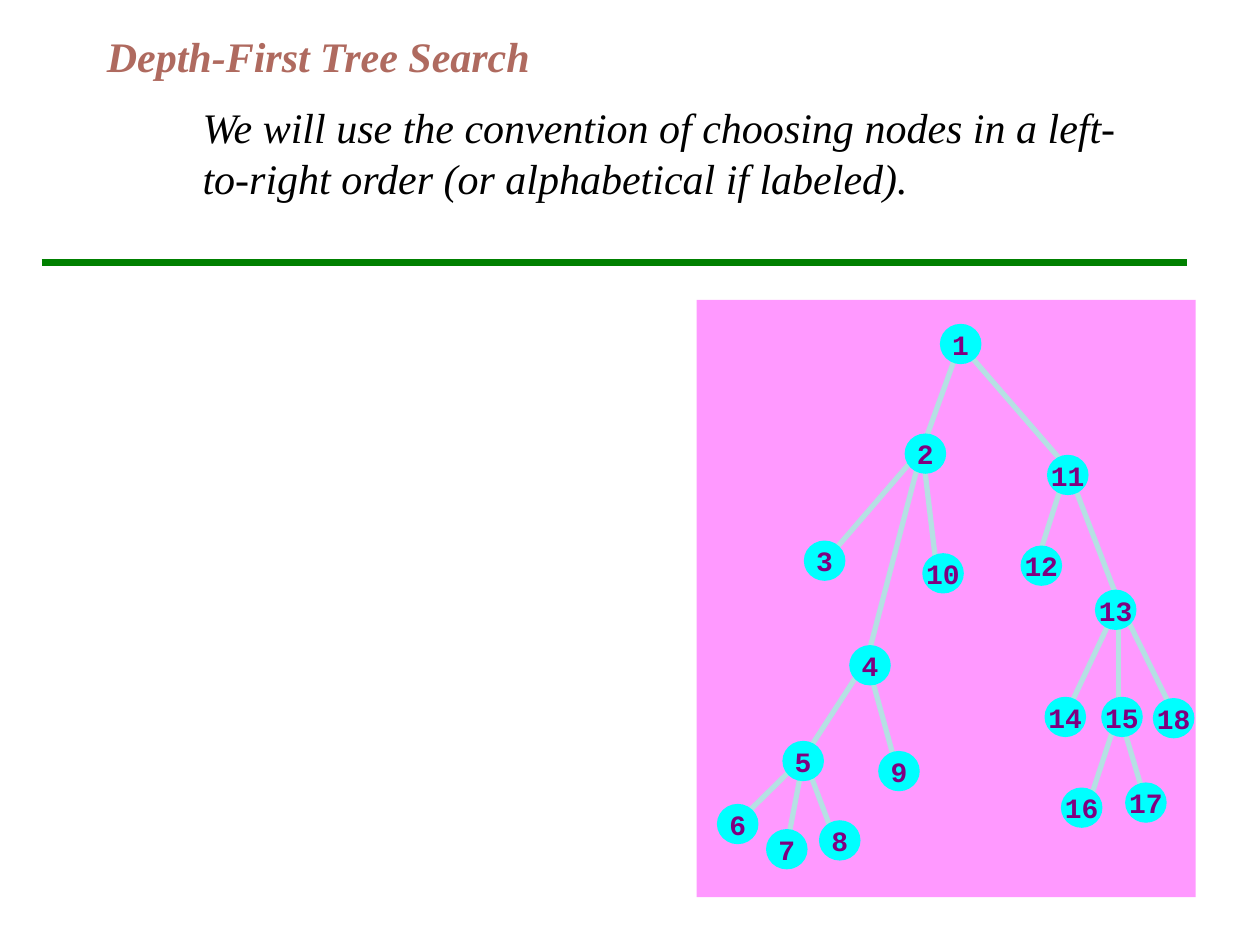
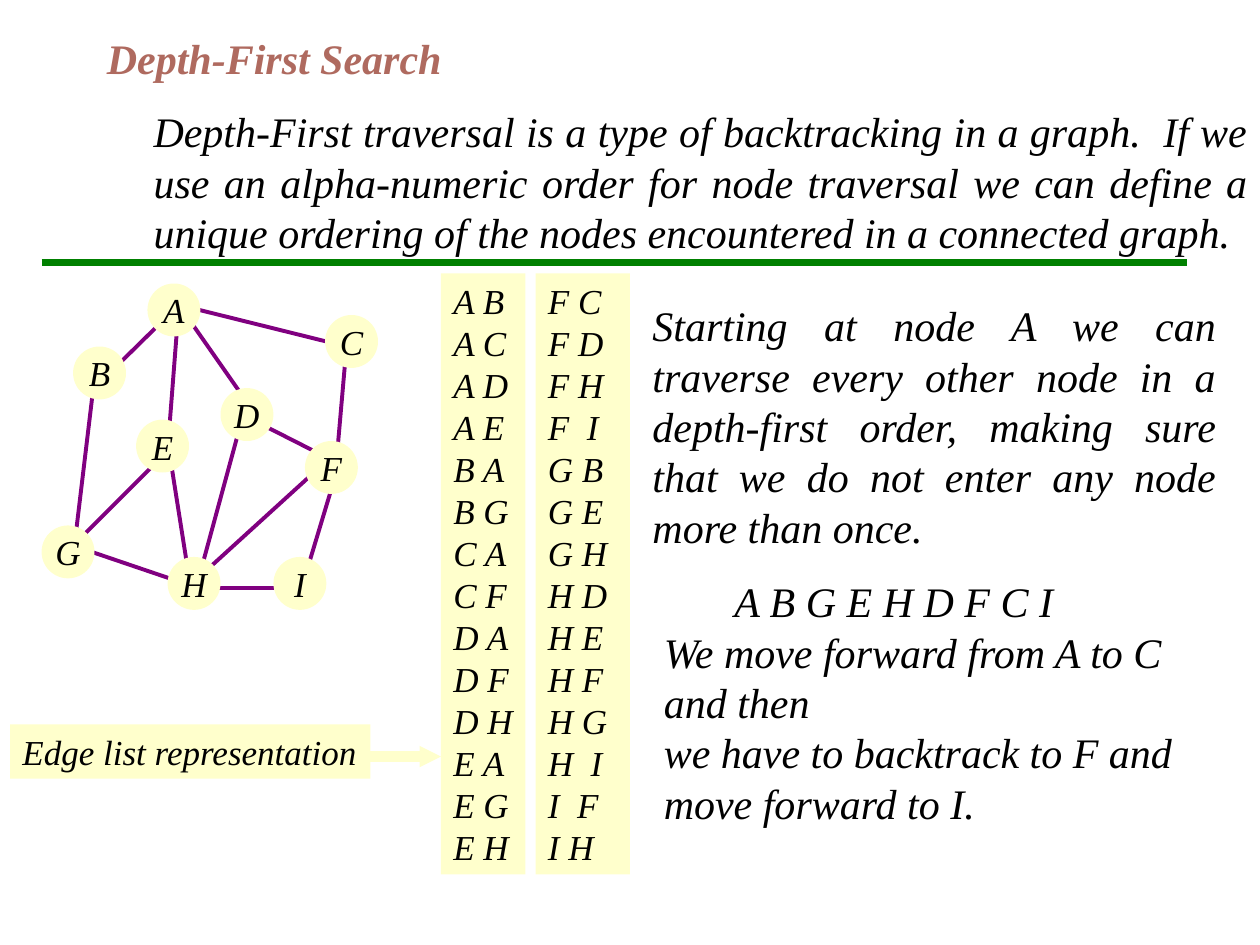
"""Build two slides on depth-first search: a numbered tree and a lettered graph."""
from dataclasses import dataclass
from typing import NamedTuple

from lxml import etree
from pptx import Presentation
from pptx.dml.color import RGBColor
from pptx.enum.shapes import MSO_CONNECTOR, MSO_SHAPE
from pptx.enum.text import MSO_ANCHOR, PP_ALIGN
from pptx.oxml.ns import qn
from pptx.util import Emu, Pt

EMU_PER_PX = 9144
STRAIGHT = MSO_CONNECTOR.STRAIGHT
RECTANGLE, ELLIPSE, RIGHT_ARROW = MSO_SHAPE.RECTANGLE, MSO_SHAPE.OVAL, MSO_SHAPE.RIGHT_ARROW
LEFT, CENTER, JUSTIFY = PP_ALIGN.LEFT, PP_ALIGN.CENTER, PP_ALIGN.JUSTIFY
TOP, MIDDLE = MSO_ANCHOR.TOP, MSO_ANCHOR.MIDDLE


class TextStyle(NamedTuple):
    font: str
    size: int
    color: str
    bold: bool = False
    italic: bool = False


class DiagramStyle(NamedTuple):
    width: int
    height: int
    fill: str
    line: str
    line_width: float
    text: TextStyle


@dataclass(frozen=True)
class Theme:
    divider: str = "008000"
    divider_width: float = 4
    panel: str = "FF99FF"
    note: str = "FFFFCC"
    line_pitch: float = 1.2
    title: TextStyle = TextStyle("Times New Roman", 24, "AF6A5F", True, True)
    body: TextStyle = TextStyle("Times New Roman", 24, "000000", False, True)
    label: TextStyle = TextStyle("Times New Roman", 20, "000000", False, True)
    number: TextStyle = TextStyle("Courier New", 16, "800080", True)


THEME = Theme()
TREE_STYLE = DiagramStyle(33, 32, "00FFFF", "B5E0E3", 3, THEME.number)
GRAPH_STYLE = DiagramStyle(42, 42, THEME.note, "800080", 2.25, THEME.label)


class Box(NamedTuple):
    left: int
    top: int
    width: int
    height: int


class Point(NamedTuple):
    x: int
    y: int

    def moved(self, offset: "Point") -> "Point":
        """Return the point shifted by an offset."""
        return Point(self.x + offset.x, self.y + offset.y)


class Node(NamedTuple):
    """A labelled ellipse and the joint where its edges meet."""
    label: str
    left: int
    top: int
    joint: Point


class Edge(NamedTuple):
    """Two node labels, with optional offsets from their joints."""
    start: str
    end: str
    start_offset: Point = Point(0, 0)
    end_offset: Point = Point(0, 0)


TREE_NODES = [
    Node("1", 746, 257, Point(762, 273)),
    Node("2", 718, 344, Point(732, 356)),
    Node("3", 638, 429, Point(656, 444)),
    Node("4", 674, 512, Point(688, 524)),
    Node("5", 621, 588, Point(638, 601)),
    Node("6", 569, 638, Point(585, 653)),
    Node("7", 608, 658, Point(624, 674)),
    Node("8", 650, 651, Point(661, 662)),
    Node("9", 697, 596, Point(712, 611)),
    Node("10", 732, 439, Point(744, 457)),
    Node("11", 831, 361, Point(847, 371)),
    Node("12", 810, 433, Point(824, 443)),
    Node("13", 869, 468, Point(888, 478)),
    Node("14", 829, 553, Point(847, 565)),
    Node("15", 874, 553, Point(888, 565)),
    Node("16", 842, 625, Point(864, 638)),
    Node("17", 893, 621, Point(908, 632)),
    Node("18", 915, 554, Point(933, 569)),
]
TREE_CHILDREN = {
    "1": ["2", "11"], "2": ["3", "4", "10"], "4": ["5", "9"], "5": ["6", "7", "8"],
    "11": ["12", "13"], "13": ["14", "15", "18"], "15": ["16", "17"],
}
TREE_EDGES = [Edge(parent, child) for parent, children in TREE_CHILDREN.items() for child in children]

GRAPH_NODES = [
    Node("A", 117, 225, Point(142, 242)),
    Node("B", 58, 275, Point(83, 300)),
    Node("C", 258, 250, Point(275, 275)),
    Node("D", 175, 308, Point(200, 333)),
    Node("E", 108, 333, Point(133, 358)),
    Node("F", 242, 350, Point(267, 367)),
    Node("G", 33, 417, Point(58, 433)),
    Node("H", 133, 442, Point(158, 458)),
    Node("I", 217, 442, Point(233, 467)),
]
GRAPH_EDGES = [
    Edge("A", "B"), Edge("A", "C"), Edge("A", "E"),
    Edge("A", "D", end_offset=Point(0, -8)),
    Edge("B", "G", Point(-8, 0), Point(0, 9)),
    Edge("C", "F"), Edge("D", "F"),
    Edge("D", "H", Point(-8, 0)),
    Edge("E", "G"),
    Edge("E", "H", Point(0, -8), Point(-8, 0)),
    Edge("F", "H", Point(-9, 0)),
    Edge("F", "I", Point(0, 8), Point(9, -9)),
    Edge("G", "H", end_offset=Point(0, 9)),
    Edge("H", "I", Point(0, 9)),
]
EDGE_LISTS = [
    (Box(350, 217, 67, 477), ["A B", "A C", "A D", "A E", "B A", "B G", "C A",
                              "C F", "D A", "D F", "D H", "E A", "E G", "E H"]),
    (Box(425, 217, 75, 477), ["F C", "F D", "F H", "F  I", "G B", "G E", "G H",
                              "H D", "H E", "H F", "H G", "H  I", "I  F", "I H"]),
]


def px(length: int) -> Emu:
    """Turn px into EMU."""
    return Emu(length * EMU_PER_PX)


def write_text(shape, lines: list[str], style: TextStyle, align=LEFT, anchor=TOP, wrap: bool = True) -> None:
    """Fill a shape with one styled paragraph per line."""
    frame = shape.text_frame
    frame.word_wrap = wrap
    frame.vertical_anchor = anchor
    frame.text = "\n".join(lines)
    for paragraph in frame.paragraphs:
        paragraph.alignment = align
        paragraph.line_spacing = Pt(style.size * THEME.line_pitch)
        font = paragraph.font
        font.name, font.size = style.font, Pt(style.size)
        font.bold, font.italic = style.bold, style.italic
        font.color.rgb = RGBColor.from_string(style.color)


def add_text(slide, box: Box, lines: list[str], style: TextStyle = THEME.body, align=LEFT, anchor=TOP) -> None:
    """Add a wrapping text box."""
    write_text(slide.shapes.add_textbox(*map(px, box)), lines, style, align, anchor)


def add_filled_shape(slide, kind, box: Box, color: str):
    """Add a flat shape with no outline."""
    shape = slide.shapes.add_shape(kind, *map(px, box))
    shape.shadow.inherit = False
    shape.fill.solid()
    shape.fill.fore_color.rgb = RGBColor.from_string(color)
    shape.line.fill.background()
    return shape


def add_line(slide, start: Point, end: Point, color: str, width: float) -> None:
    """Add a straight line without shadow."""
    connector = slide.shapes.add_connector(STRAIGHT, *map(px, (*start, *end)))
    connector.line.color.rgb = RGBColor.from_string(color)
    connector.line.width = Pt(width)
    etree.SubElement(connector._element.spPr, qn("a:effectLst"))


def add_diagram(slide, nodes: list[Node], edges: list[Edge], style: DiagramStyle) -> None:
    """Draw the edges, then the nodes over them."""
    joints = {node.label: node.joint for node in nodes}
    for edge in edges:
        start = joints[edge.start].moved(edge.start_offset)
        end = joints[edge.end].moved(edge.end_offset)
        add_line(slide, start, end, style.line, style.line_width)
    for node in nodes:
        box = Box(node.left, node.top, style.width, style.height)
        ellipse = add_filled_shape(slide, ELLIPSE, box, style.fill)
        write_text(ellipse, [node.label], style.text, CENTER, MIDDLE, wrap=False)


def add_note(slide, box: Box, lines: list[str]) -> None:
    """Add a tinted box of label text."""
    note = add_filled_shape(slide, RECTANGLE, box, THEME.note)
    write_text(note, lines, THEME.label, wrap=False)


def add_titled_slide(presentation, title: str, title_box: Box):
    """Add a blank slide with the shared divider and title."""
    slide = presentation.slides.add_slide(presentation.slide_layouts[6])
    add_line(slide, Point(33, 208), Point(942, 208), THEME.divider, THEME.divider_width)
    add_text(slide, title_box, [title], THEME.title, anchor=MIDDLE)
    return slide


def add_tree_slide(presentation) -> None:
    """Build the slide with the numbered search tree."""
    slide = add_titled_slide(presentation, "Depth-First Tree Search", Box(75, 0, 850, 88))
    add_text(slide, Box(151, 76, 776, 91), [
        "We will use the convention of choosing nodes in a left-to-right order (or alphabetical if labeled)."])
    add_filled_shape(slide, RECTANGLE, Box(553, 238, 396, 474), THEME.panel)
    add_diagram(slide, TREE_NODES, TREE_EDGES, TREE_STYLE)


def add_graph_slide(presentation) -> None:
    """Build the slide with the graph, its edge list and the traversal."""
    slide = add_titled_slide(presentation, "Depth-First Search", Box(75, 25, 850, 42))
    add_text(slide, Box(112, 79, 888, 131), [
        "Depth-First traversal is a type of backtracking in a graph.  If we use an alpha-numeric order "
        "for node traversal we can define a unique ordering of the nodes encountered in a connected graph."],
        align=JUSTIFY)
    add_diagram(slide, GRAPH_NODES, GRAPH_EDGES, GRAPH_STYLE)
    for box, pairs in EDGE_LISTS:
        add_note(slide, box, pairs)
    add_note(slide, Box(8, 575, 286, 43), ["Edge list representation"])
    arrow = add_filled_shape(slide, RIGHT_ARROW, Box(283, 592, 67, 17), THEME.note)
    arrow.adjustments[1] = 1
    add_text(slide, Box(508, 233, 467, 210), [
        "Starting at node A we can traverse every other node in a depth-first order, "
        "making sure that we do not enter any node more than once."], align=JUSTIFY)
    add_text(slide, Box(573, 452, 360, 50), ["A B G E H D F C I"])
    add_text(slide, Box(517, 492, 467, 170), [
        "We move forward from A to C and then",
        "we have to backtrack to F and move forward to I."])


def main() -> None:
    """Build and save the presentation."""
    presentation = Presentation()
    presentation.slide_width, presentation.slide_height = px(1000), px(750)
    add_tree_slide(presentation)
    add_graph_slide(presentation)
    presentation.save("out.pptx")


if __name__ == "__main__":
    main()
